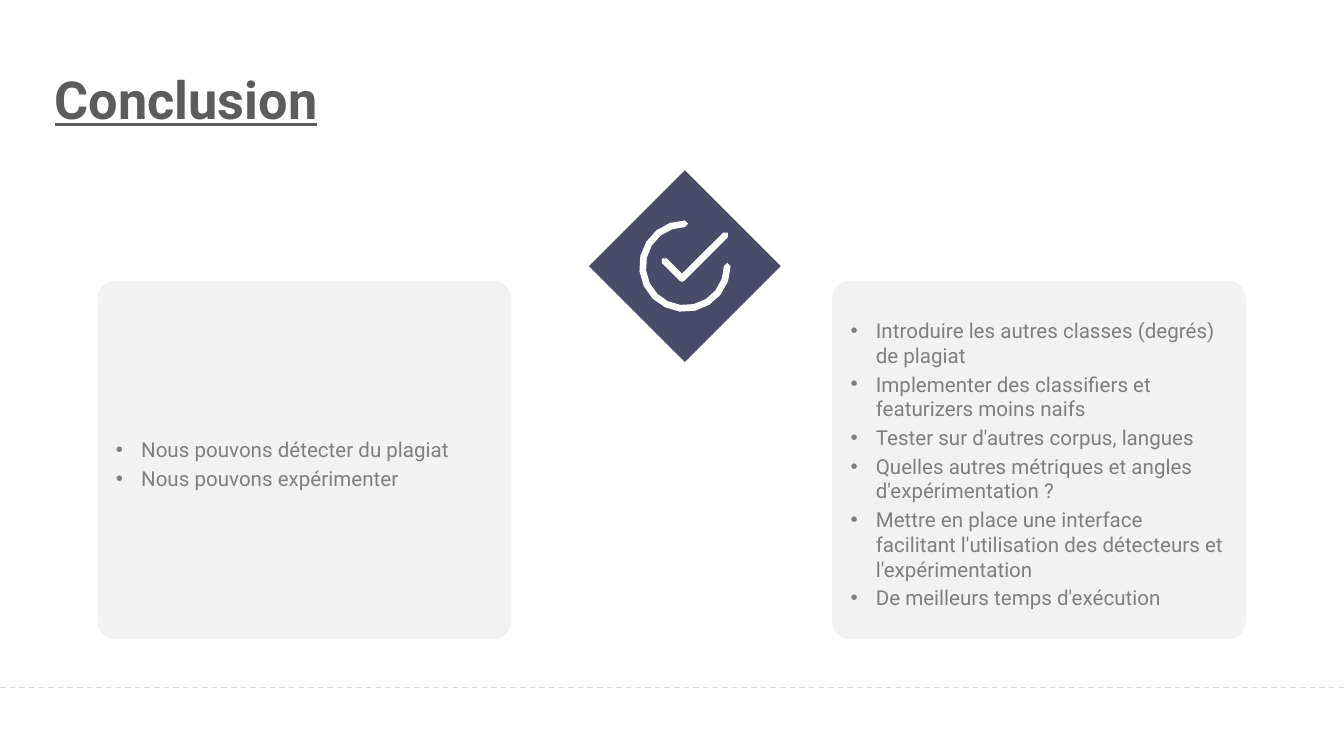
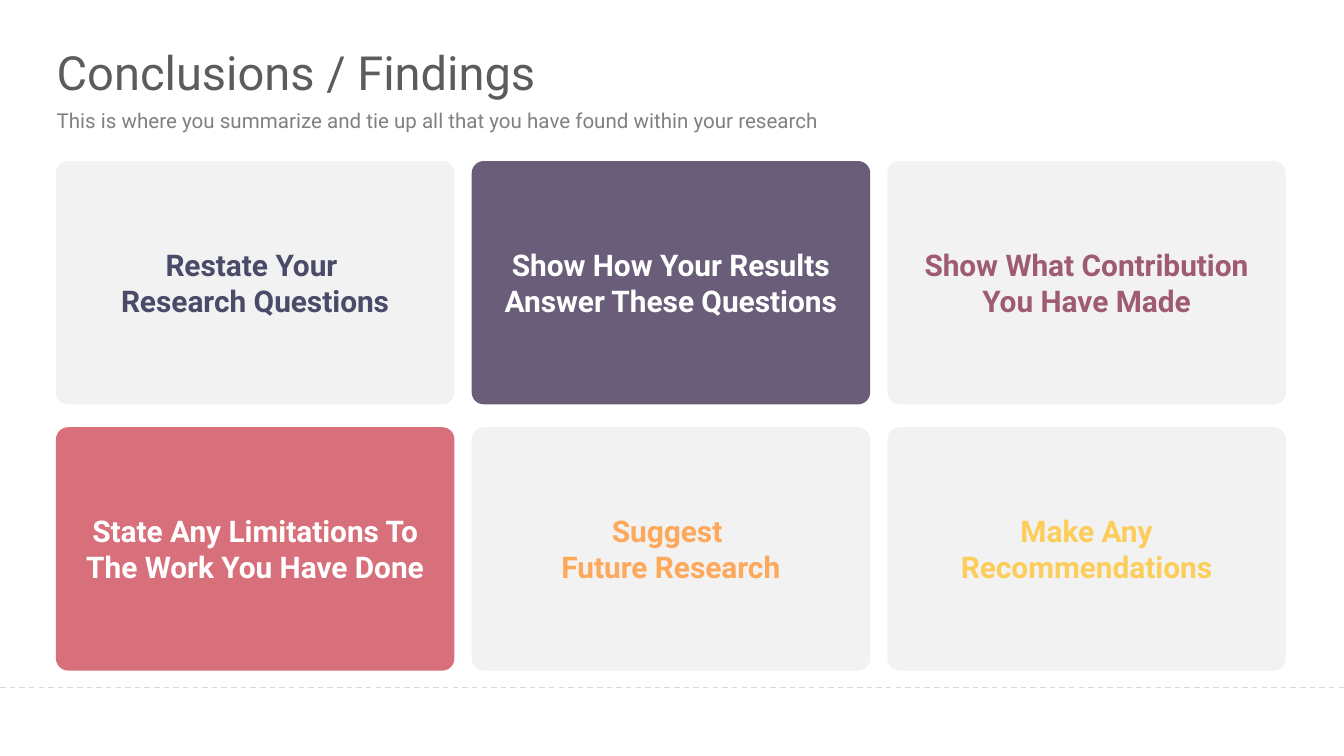
import math

from lxml import etree
from pptx import Presentation
from pptx import util as u
from pptx.dml.color import RGBColor
from pptx.enum import dml, shapes, text
from pptx.oxml.ns import qn

Pt = u.Pt
FONT = "Roboto"
WHITE, CARD, RULE = "FFFFFF", "F2F2F2", "D9D9D9"
TITLE, BODY, SUBTITLE = "5C5C5C", "7F7F7F", "808080"
NAVY, PURPLE, PLUM = "494B69", "695D7A", "9F5B72"
ROSE, ORANGE, YELLOW = "D8707C", "FDA85A", "FDCD5A"
WIDTH, HEIGHT = 720, 405
RULE_Y, FOOTER_TOP = 368.5, 369.3


def rgb(value):
    return RGBColor.from_string(value)


def paint(sp, color):
    sp.shadow.inherit = False
    sp.fill.solid()
    sp.fill.fore_color.rgb = rgb(color)
    sp.line.fill.background()


def write(sp, items, size=11, color=BODY, bold=False, underline=False,
          align=text.PP_ALIGN.LEFT, bullet=False, insets=(0, 0, 0, 0)):
    """Fill sp with one paragraph per item; insets are left, top, right, bottom."""
    tf = sp.text_frame
    tf.word_wrap = True
    tf.vertical_anchor = text.MSO_ANCHOR.MIDDLE
    (tf.margin_left, tf.margin_top,
     tf.margin_right, tf.margin_bottom) = map(Pt, insets)
    for i, item in enumerate(items):
        p = tf.add_paragraph() if i else tf.paragraphs[0]
        p.text = item
        p.alignment = align
        if i:
            p.space_before = Pt(2.2)
        if bullet:
            pPr = p._p.get_or_add_pPr()
            pPr.set("marL", str(Pt(13.5)))
            pPr.set("indent", str(-Pt(13.5)))
            etree.SubElement(pPr, qn("a:buFont")).set("typeface", "Arial")
            etree.SubElement(pPr, qn("a:buChar")).set("char", "•")
        for r in p.runs:
            f = r.font
            f.name, f.size, f.bold, f.underline = FONT, Pt(size), bold, underline
            f.color.rgb = rgb(color)


def arc(cx, cy, radius, start, end, steps=2):
    """Points along a circle, with angles in degrees clockwise from the right."""
    angles = (math.radians(start + (end - start) * i / steps)
              for i in range(steps + 1))
    return [(cx + radius * math.cos(a), cy + radius * math.sin(a)) for a in angles]


class Deck:
    def __init__(self):
        self.prs = Presentation()
        self.prs.slide_width, self.prs.slide_height = Pt(WIDTH), Pt(HEIGHT)
        self.s = None

    def slide(self):
        self.s = self.prs.slides.add_slide(self.prs.slide_layouts[6])
        rule = self.s.shapes.add_connector(
            shapes.MSO_CONNECTOR.STRAIGHT, 0, Pt(RULE_Y), Pt(WIDTH), Pt(RULE_Y))
        rule.line.color.rgb = rgb(RULE)
        rule.line.width = Pt(0.75)
        rule.line.dash_style = dml.MSO_LINE.DASH
        etree.SubElement(rule._element.spPr, qn("a:effectLst"))

    def footer(self):
        self.shape(shapes.MSO_SHAPE.RECTANGLE, 0, FOOTER_TOP,
                   WIDTH, HEIGHT - FOOTER_TOP, WHITE)

    def shape(self, kind, x, y, w, h, color):
        sp = self.s.shapes.add_shape(kind, Pt(x), Pt(y), Pt(w), Pt(h))
        paint(sp, color)
        return sp

    def label(self, x, y, w, h, content, **fmt):
        write(self.s.shapes.add_textbox(Pt(x), Pt(y), Pt(w), Pt(h)), [content], **fmt)

    def card(self, x, y, w, h, items, fill=CARD, **fmt):
        sp = self.shape(shapes.MSO_SHAPE.ROUNDED_RECTANGLE, x, y, w, h, fill)
        sp.adjustments[0] = 0.05
        write(sp, items, **fmt)

    def check_icon(self, cx, cy):
        """Draw a tick and an open ring, both with round ends, centred on cx, cy."""
        half, ring, steps = 1.8, 22.7, 14
        elbow_x, elbow_y, short, long = cx - 1.5, cy + 6.6, 9.5, 23.3
        tick = (arc(elbow_x - short, elbow_y - short, half, 135, 315)
                + [(elbow_x, elbow_y - half * math.sqrt(2))]
                + arc(elbow_x + long, elbow_y - long, half, 225, 405)
                + arc(elbow_x, elbow_y, half, 45, 135))
        circle = (arc(cx, cy, ring + half, 0, 270, steps)
                  + arc(cx, cy - ring, half, 270, 450)
                  + arc(cx, cy, ring - half, 270, 0, steps)
                  + arc(cx + ring, cy, half, 180, 360))
        grp = self.s.shapes.add_group_shape()
        for points in (tick, circle):
            (x, y), *rest = [(Pt(px), Pt(py)) for px, py in points]
            fb = grp.shapes.build_freeform(x, y)
            fb.add_line_segments(rest, close=True)
            paint(fb.convert_to_shape(), WHITE)


def conclusion(deck):
    def bullet_card(x, items):
        deck.card(x, 150.4, 221.7, 192, items, bullet=True,
                  insets=(7.2, 21.6, 7.2, 17.2))

    deck.slide()
    bullet_card(52.2, ["Nous pouvons détecter du plagiat", "Nous pouvons expérimenter"])
    deck.label(29.3, 8.4, 690, 88.6, "Conclusion", size=28, color=TITLE,
               bold=True, underline=True)
    cx, cy, side = 366.9, 142.6, 102.7
    deck.shape(shapes.MSO_SHAPE.DIAMOND, cx - side / 2, cy - side / 2, side, side, NAVY)
    deck.check_icon(cx, cy)
    deck.footer()
    bullet_card(445.8, [
        "Introduire les autres classes (degrés) de plagiat",
        "Implementer des classifiers et featurizers moins naifs",
        "Tester sur d'autres corpus, langues",
        "Quelles autres métriques et angles d'expérimentation ?",
        "Mettre en place une interface facilitant l'utilisation des détecteurs "
        "et l'expérimentation",
        "De meilleurs temps d'exécution",
    ])


def findings(deck):
    deck.slide()
    deck.label(30.4, 57.8, 659, 13.7,
               "This is where you summarize and tie up all that you have found "
               "within your research", color=SUBTITLE)
    deck.label(30.4, 22.4, 659, 32.4, "Conclusions / Findings", size=25.2, color=TITLE)
    cards = [
        ("Restate Your \nResearch Questions", CARD, NAVY),
        ("State Any Limitations To The Work You Have Done", ROSE, WHITE),
        ("Show How Your Results Answer These Questions", PURPLE, WHITE),
        ("Suggest \nFuture Research", CARD, ORANGE),
        ("Show What Contribution You Have Made", CARD, PLUM),
        ("Make Any Recommendations", CARD, YELLOW),
    ]
    w, h, gap_x, gap_y = 213.5, 130.4, 9.2, 12.2
    for i, (content, fill, color) in enumerate(cards):
        col, row = divmod(i, 2)
        deck.card(30 + col * (w + gap_x), 86.3 + row * (h + gap_y), w, h, [content],
                  fill=fill, size=16, color=color, bold=True,
                  align=text.PP_ALIGN.CENTER, insets=(7.2, 3.6, 7.2, 3.6))
    deck.footer()


def main():
    deck = Deck()
    conclusion(deck)
    findings(deck)
    deck.prs.save("out.pptx")


if __name__ == "__main__":
    main()
